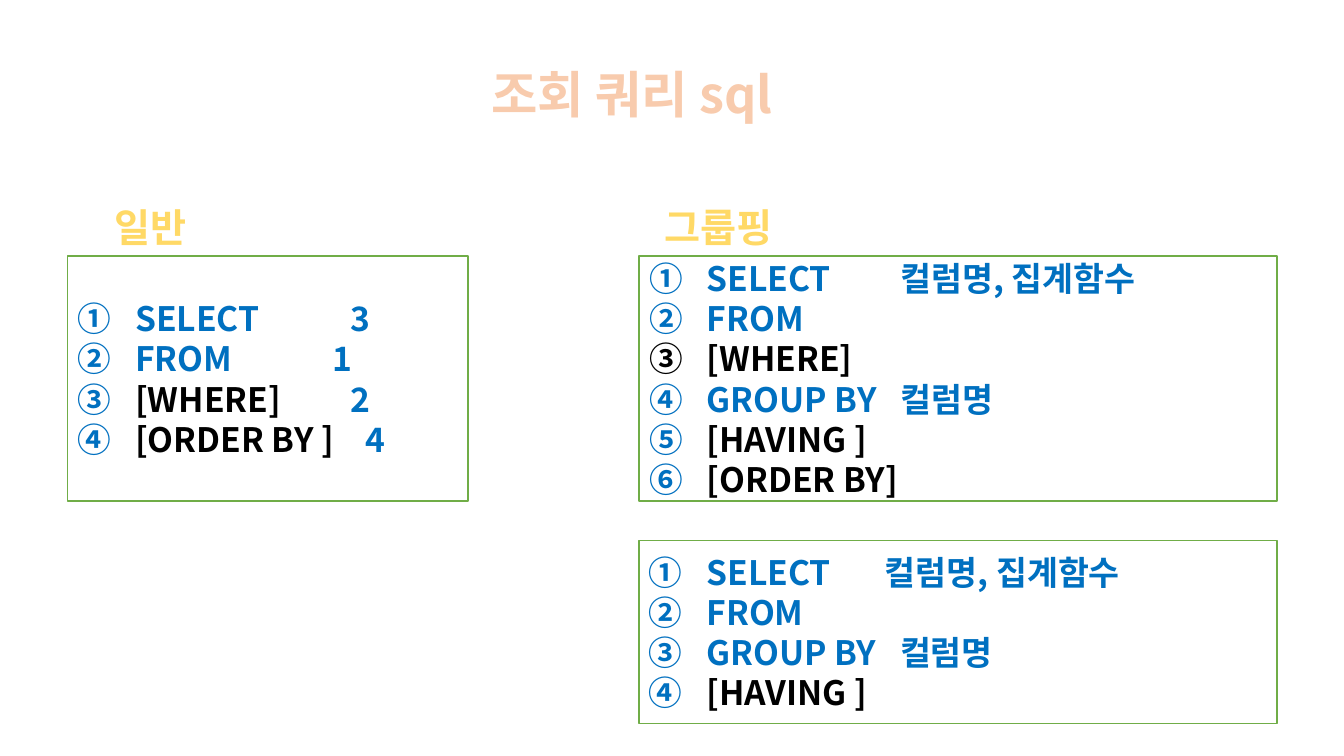
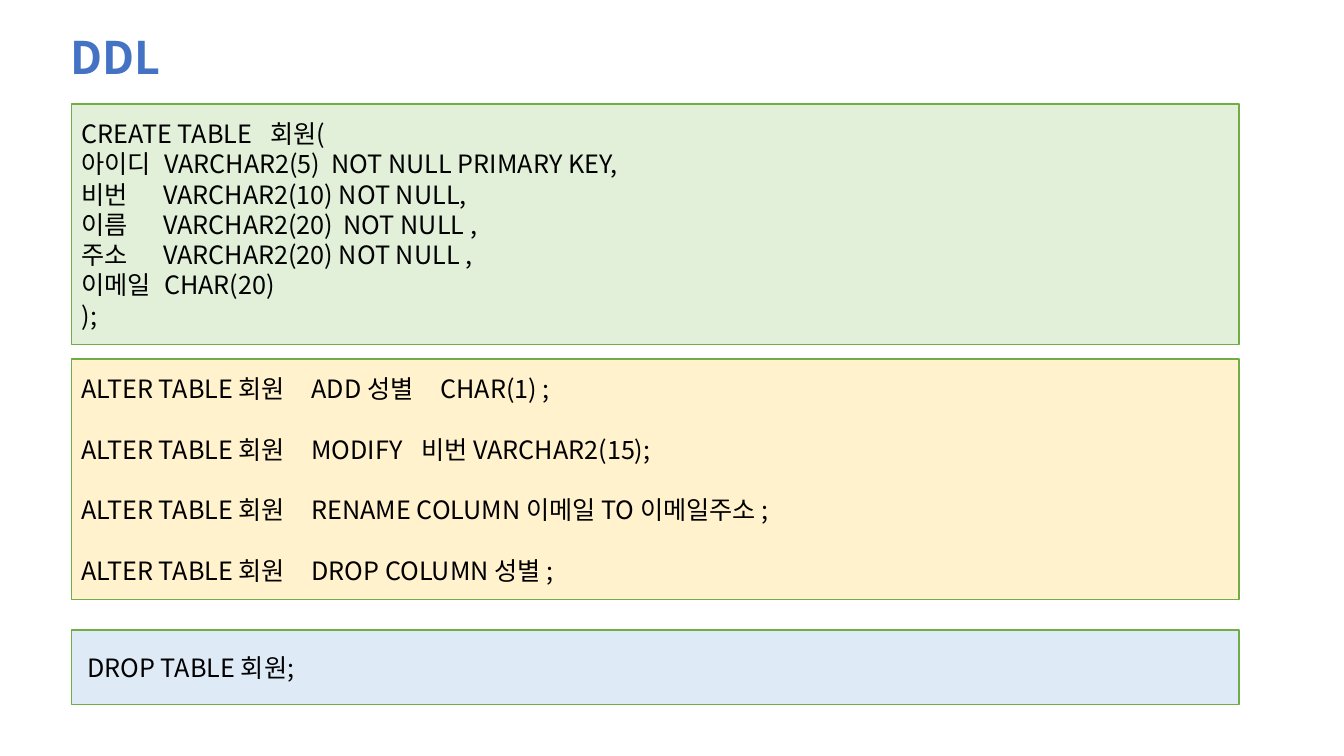
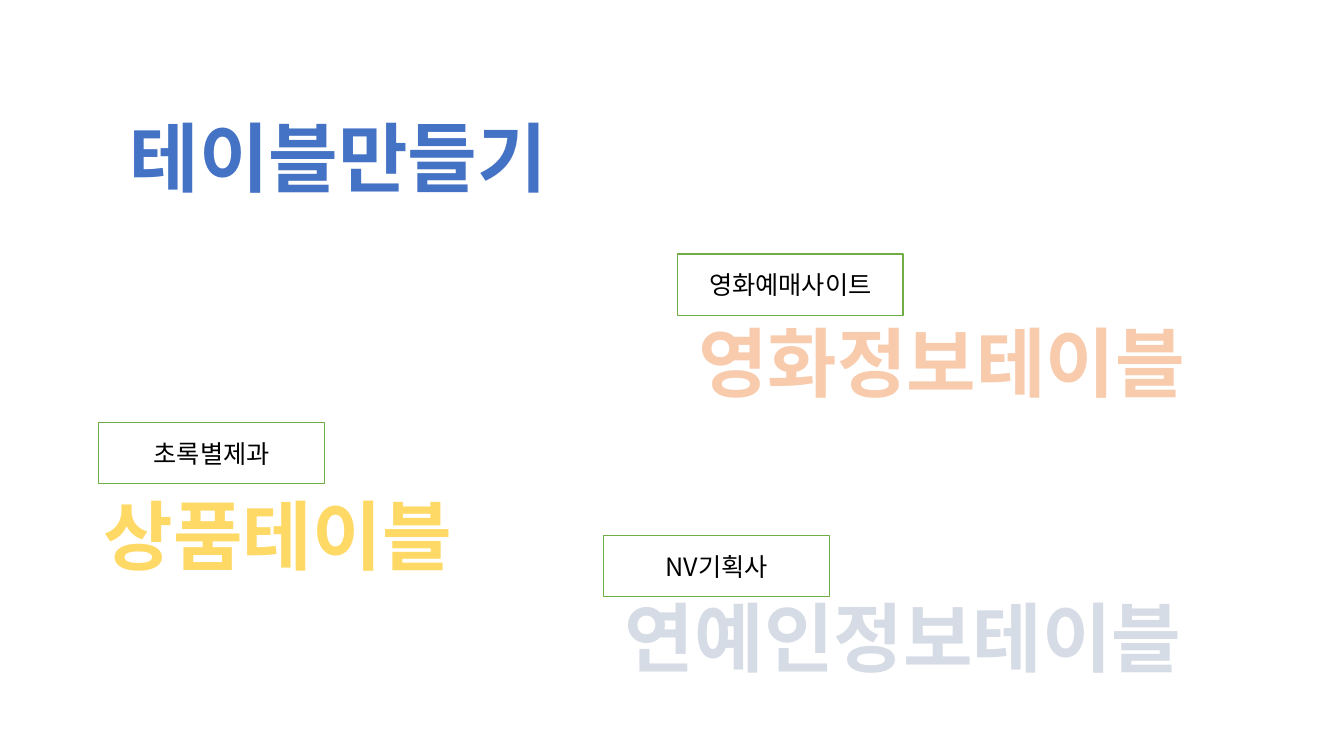
"""Builds three slides about SQL queries, DDL and tables to make."""
import pptx
import pptx.dml.color
import pptx.enum.dml
import pptx.enum.shapes
import pptx.enum.text
import pptx.oxml.xmlchemy
import pptx.util

RGB = pptx.dml.color.RGBColor
Anchor = pptx.enum.text.MSO_ANCHOR
Align = pptx.enum.text.PP_ALIGN
Fit = pptx.enum.text.MSO_AUTO_SIZE

WHITE = RGB(0xFF, 0xFF, 0xFF)
BLACK = RGB(0, 0, 0)
BLUE = RGB(0x00, 0x70, 0xC0)
ROYAL = RGB(0x44, 0x72, 0xC4)
GREEN = RGB(0x70, 0xAD, 0x47)
MINT = RGB(0xE2, 0xF0, 0xD9)
CREAM = RGB(0xFF, 0xF2, 0xCC)
SKY = RGB(0xDE, 0xEB, 0xF7)
PEACH = RGB(0xF8, 0xCB, 0xAD)
ORANGE = RGB(0xED, 0x7D, 0x31)
AMBER = RGB(0xFF, 0xC0, 0x00)
GOLD = RGB(0xFF, 0xD9, 0x66)
SLATE = RGB(0x44, 0x54, 0x6A)
MIST = RGB(0xD6, 0xDC, 0xE5)
NAVY = RGB(0x33, 0x3F, 0x50)

PLAIN = dict(edge=WHITE, width=0.75, solid=ROYAL)
WARM = dict(edge=ORANGE, width=1.75, solid=PEACH)
GLOW = dict(edge=AMBER, width=1, stops=((0, AMBER), (4, GOLD), (87, CREAM)))
HATCH = dict(edge=NAVY, width=1, pair=(SLATE, MIST))


def node(tag, *kids, **vals):
    """Make a drawing element with its children and attributes."""
    item = pptx.oxml.xmlchemy.OxmlElement("a:" + tag)
    for key, val in vals.items():
        item.set(key, str(val))
    item.extend(kids)
    return item


def tint(color):
    """Make a colour element."""
    return node("srgbClr", val=color)


def assign(item, vals):
    """Set attributes from a dict of format values."""
    for key, val in vals.items():
        setattr(item, key, val)


class Deck:
    """Holds the style and the current slide."""

    face = "Noto Sans CJK KR"
    inset = 0.57

    def __init__(self):
        """Start an empty wide deck."""
        self.show = pptx.Presentation()
        assign(self.show, dict(slide_width=pptx.util.Inches(13.33),
                               slide_height=pptx.util.Inches(7.5)))
        self.slide = None

    def page(self, name):
        """Add a slide with the named layout."""
        plan = self.show.slide_layouts.get_by_name(name)
        self.slide = self.show.slides.add_slide(plan)

    def place(self, left, top, width, height):
        """Turn percent shares of the slide into lengths."""
        wide, high = self.show.slide_width, self.show.slide_height
        return [pptx.util.Emu(round(part * full / 100)) for part, full in
                zip((left, top, width, height), (wide, high, wide, high))]

    def holder(self, spot, area):
        """Move a placeholder of the slide."""
        shape = self.slide.placeholders[spot]
        assign(shape, dict(zip(("left", "top", "width", "height"), self.place(*area))))
        return shape

    def style(self, run, size, color=None, bold=False):
        """Give a run its font."""
        assign(run.font, dict(name=self.face, size=pptx.util.Pt(size), bold=bold))
        if color is not None:
            run.font.color.rgb = color
        run.font._element.append(node("ea", typeface=self.face))

    def paint(self, run, look):
        """Fill and outline the letters of a run."""
        fill, props = run.font.fill, run.font._element
        if "solid" in look:
            fill.solid()
            fill.fore_color.rgb = look["solid"]
        elif "pair" in look:
            fill.patterned()
            fill.pattern = pptx.enum.dml.MSO_PATTERN.DARK_UPWARD_DIAGONAL
            fill.fore_color.rgb, fill.back_color.rgb = look["pair"]
        else:
            stops = [node("gs", tint(color), pos=share * 1000)
                     for share, color in look["stops"]]
            props.insert(0, node("gradFill", node("gsLst", *stops),
                                 node("lin", ang=90 * 60000, scaled=0)))
        props.insert(0, node("ln", node("solidFill", tint(look["edge"])),
                             w=pptx.util.Pt(look["width"])))

    def word(self, text, area, size, look, spot=None):
        """Write one big outlined word, in a placeholder if one is named."""
        if spot is None:
            shape = self.slide.shapes.add_textbox(*self.place(*area))
        else:
            shape = self.holder(spot, area)
        frame = shape.text_frame
        assign(frame, dict(word_wrap=False, auto_size=Fit.NONE, vertical_anchor=Anchor.TOP))
        para = frame.paragraphs[0]
        assign(para, dict(alignment=Align.CENTER, space_before=pptx.util.Pt(0)))
        run = para.add_run()
        run.text = text
        self.style(run, size, bold=True)
        self.paint(run, look)

    def box(self, area, fill=WHITE, spot=None):
        """Draw a framed box and return its text frame."""
        if spot is None:
            kind = pptx.enum.shapes.MSO_SHAPE.RECTANGLE
            shape = self.slide.shapes.add_shape(kind, *self.place(*area))
            shape.shadow.inherit = False
        else:
            shape = self.holder(spot, area)
        shape.fill.solid()
        shape.fill.fore_color.rgb = fill
        shape.line.color.rgb = GREEN
        shape.line.width = pptx.util.Pt(1)
        frame = shape.text_frame
        assign(frame, dict(word_wrap=True, auto_size=Fit.NONE, vertical_anchor=Anchor.MIDDLE))
        return frame

    def lines(self, frame, count):
        """Yield the paragraphs of a frame, left aligned and tight."""
        for step in range(count):
            para = frame.add_paragraph() if step else frame.paragraphs[0]
            assign(para, dict(alignment=Align.LEFT, space_before=pptx.util.Pt(0)))
            yield para

    def tabs(self, para, stops):
        """Add left tab stops in inches."""
        if stops:
            marks = [node("tab", pos=pptx.util.Inches(stop), algn="l") for stop in stops]
            para._p.get_or_add_pPr().append(node("tabLst", *marks))

    def steps(self, area, rows, spot=None):
        """Write a list with circled numbers."""
        frame = self.box(area, spot=spot)
        for para, (mark, stop, *runs) in zip(self.lines(frame, len(rows)), rows):
            props = para._p.get_or_add_pPr()
            hang = pptx.util.Inches(self.inset)
            props.set("marL", str(hang))
            props.set("indent", str(-hang))
            props.append(node("buClr", tint(mark)))
            props.append(node("buFont", typeface="+mj-lt"))
            props.append(node("buAutoNum", type="circleNumDbPlain"))
            self.tabs(para, stop and [stop])
            for text, color in runs:
                run = para.add_run()
                run.text = text
                self.style(run, 24, color, True)

    def code(self, area, fill, rows, gap=0):
        """Write lines of code in a filled box."""
        frame = self.box(area, fill)
        for step, para in enumerate(self.lines(frame, len(rows))):
            text, *stops = rows[step]
            if step:
                para.space_before = pptx.util.Pt(gap)
            self.tabs(para, stops)
            run = para.add_run()
            run.text = text
            self.style(run, 18, BLACK)

    def tag(self, text, left, top):
        """Draw a small centred label."""
        para = self.box((left, top, 16.8, 8.13)).paragraphs[0]
        para.alignment = Align.CENTER
        run = para.add_run()
        run.text = text
        self.style(run, 18, BLACK)


def query(deck):
    """Show the order of clauses in a query."""
    deck.page("Comparison")
    deck.word("조회 쿼리 sql", (34.8, 7.73, 24.45, 9.47), 36, WARM, 0)
    deck.word("일반", (7.5, 26.27, 7.43, 7.6), 28, GLOW, 1)
    deck.word("그룹핑", (48.3, 26.27, 10.35, 7.6), 28, GLOW, 3)
    source = (BLUE, None, ("FROM", BLUE))
    group = (BLUE, 2.49, ("GROUP BY\t컬럼명", BLUE))
    having = (BLUE, None, ("[HAVING ]", BLACK))
    pick = ("SELECT\t컬럼명, 집계함수", BLUE)
    deck.steps((5.03, 33.87, 29.78, 32.4), [
        (BLUE, 2.71, ("SELECT\t3", BLUE)),
        (BLUE, 2.53, ("FROM\t1", BLUE)),
        (BLUE, 2.71, ("[WHERE]\t", BLACK), ("2", BLUE)),
        (BLUE, 2.85, ("[ORDER BY ]\t", BLACK), ("4", BLUE))], 2)
    deck.steps((47.55, 33.87, 47.48, 32.4), [
        (BLUE, 2.49, pick), source, (BLACK, None, ("[WHERE]", BLACK)),
        group, having, (BLUE, None, ("[ORDER BY]", BLACK))], 4)
    deck.steps((47.55, 71.47, 47.48, 24.27), [
        (BLUE, 2.34, pick), source, group, having])


def define(deck):
    """Show the statements that define a table."""
    deck.page("Title Only")
    deck.word("DDL", (4.5, 3.2, 8.25, 8.53), 32, PLAIN, 0)
    left, width, tall = 5.33, 86.85, 31.87
    deck.code((left, 13.73, width, tall), MINT, [
        ("CREATE TABLE\t회원(", 1.87),
        ("아이디\tVARCHAR2(5)\tNOT NULL PRIMARY KEY,", 0.82, 2.48),
        ("비번\tVARCHAR2(10) NOT NULL,", 0.81),
        ("이름\tVARCHAR2(20)\tNOT NULL ,", 0.81, 2.6),
        ("주소\tVARCHAR2(20) NOT NULL ,", 0.81),
        ("이메일\tCHAR(20)", 0.82),
        (");",)])
    deck.code((left, 47.47, width, tall), CREAM, [
        ("ALTER TABLE 회원\tADD 성별\tCHAR(1) ;", 2.28, 3.56),
        ("ALTER TABLE 회원\tMODIFY\t비번 VARCHAR2(15);", 2.28, 3.37),
        ("ALTER TABLE 회원\tRENAME COLUMN 이메일 TO 이메일주소 ;", 2.28),
        ("ALTER TABLE 회원\tDROP COLUMN 성별 ;", 2.28)], 21.6)
    deck.code((left, 83.33, width, 9.87), SKY, [(" DROP TABLE 회원;",)])


def tables(deck):
    """Show the tables to make."""
    deck.page("Title Only")
    high = 13.47
    deck.word("테이블만들기", (7.35, 14, 35.63, high), 54, PLAIN, 0)
    deck.word("영화정보테이블", (49.43, 41.07, 41.25, high), 54, WARM)
    deck.word("상품테이블", (5.7, 64, 29.93, high), 54, GLOW)
    deck.word("연예인정보테이블", (43.73, 77.47, 46.95, high), 54, HATCH)
    deck.tag("초록별제과", 7.35, 55.87)
    deck.tag("영화예매사이트", 50.4, 33.6)
    deck.tag("NV기획사", 44.93, 70.8)


def main():
    """Build and save the deck."""
    deck = Deck()
    for build in (query, define, tables):
        build(deck)
    deck.show.save("out.pptx")


if __name__ == "__main__":
    main()
